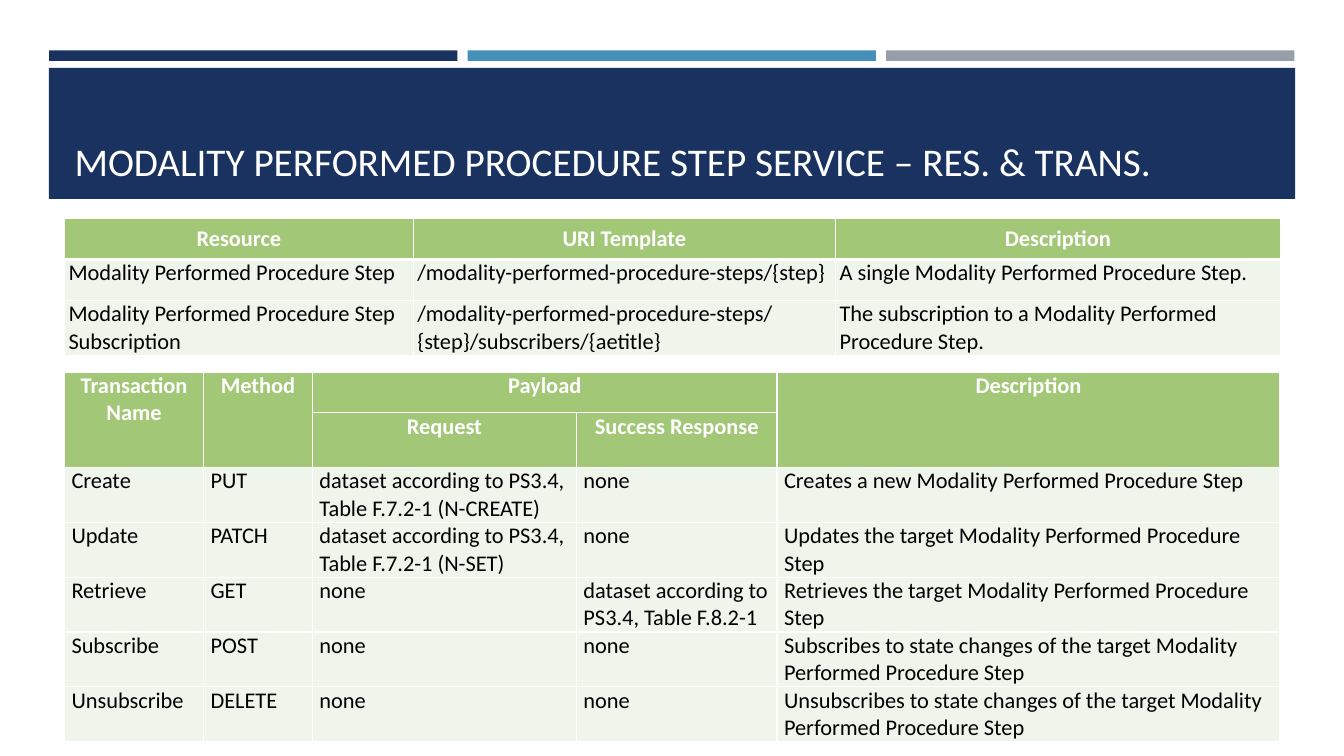
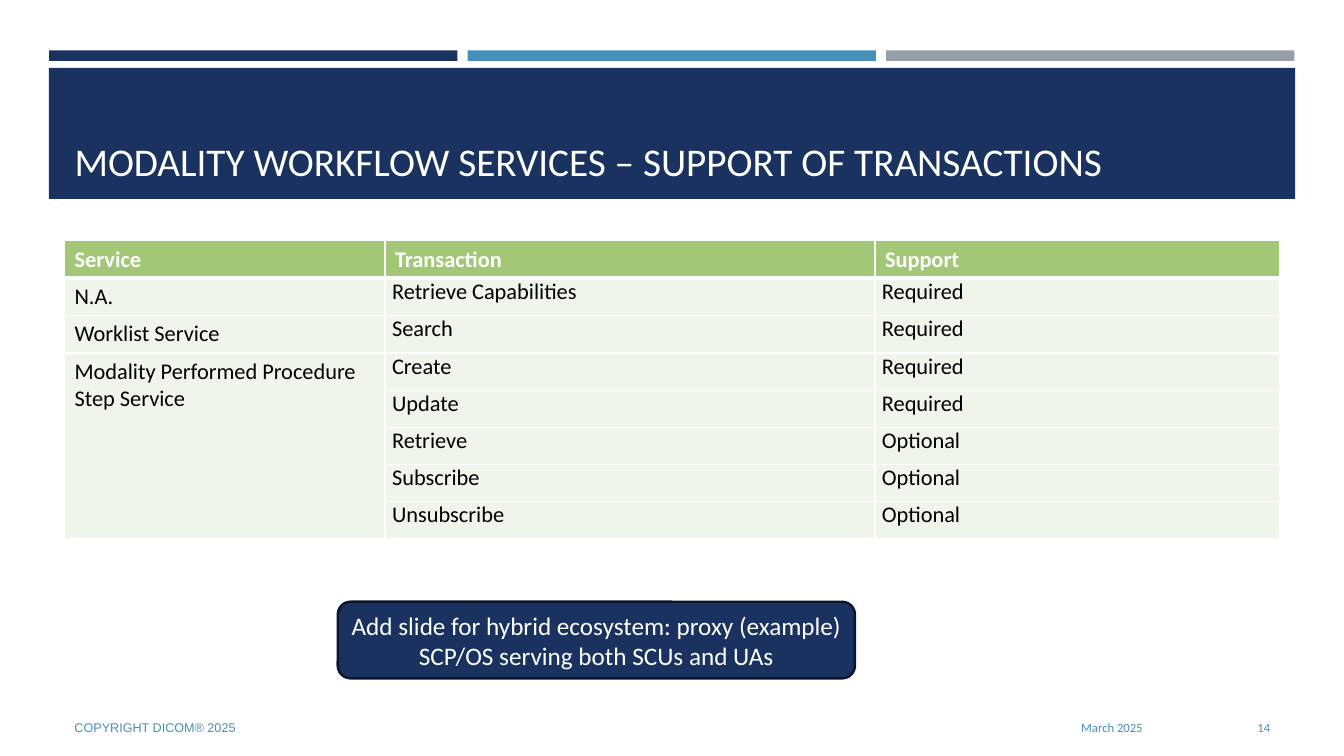
from lxml.etree import SubElement
from pptx import Presentation
from pptx.dml.color import RGBColor
from pptx.enum.shapes import MSO_SHAPE
from pptx.enum.text import MSO_ANCHOR, PP_ALIGN
from pptx.oxml.ns import qn
from pptx.util import Inches, Pt


class Theme:
    navy = RGBColor(0x1A, 0x32, 0x60)
    ink = RGBColor(0x0B, 0x16, 0x2A)
    blue = RGBColor(0x45, 0x90, 0xB8)
    grey = RGBColor(0x96, 0x9F, 0xA7)
    green = RGBColor(0xA2, 0xC7, 0x77)
    pale = RGBColor(0xF0, 0xF5, 0xEC)
    white = RGBColor(0xFF, 0xFF, 0xFF)
    black = RGBColor(0, 0, 0)
    font, footer_font = "Calibri", "Arial"
    title, callout, table, footer = Pt(28), Pt(18), Pt(16), Pt(9)


prs = Presentation()
prs.slide_width, prs.slide_height = Inches(13.33), Inches(7.5)
LEFT, WIDTH = 4.8, 90.45  # content area, percent of the slide's width


def box(left, top, width, height):
    """Turn percentages of the slide into lengths."""
    w, h = prs.slide_width / 100, prs.slide_height / 100
    return round(left * w), round(top * h), round(width * w), round(height * h)


def add_grid(s, top, cols, heights, rows, side, head_rows=1,
             head_align=PP_ALIGN.CENTER, merges=(), loose=False):
    """Add a table: cols in percent of its width, heights of the slide's.

    A loose table has roomy cells in its header and first column.
    """
    place = box(LEFT, top, WIDTH, sum(heights))
    table = s.shapes.add_table(len(rows), len(cols), *place).table
    table.horz_banding = False
    for col, share in zip(table.columns, cols):
        col.width = round(place[2] * share / 100)
    for row, height in zip(table.rows, heights):
        row.height = round(prs.slide_height * height / 100)
    for r0, c0, r1, c1 in merges:
        table.cell(r0, c0).merge(table.cell(r1, c1))

    for i, row in enumerate(rows):
        head = i < head_rows
        for j, text in enumerate(row):
            cell = table.cell(i, j)
            # Borders: a single header row is set off by a thicker line
            thick = {"lnB": 0, "lnT": 1} if head_rows == 1 else {}
            for edge in ("lnL", "lnR", "lnT", "lnB"):
                width = Pt(3 if thick.get(edge) == i else 1)
                ln = SubElement(cell._tc.get_or_add_tcPr(), qn(f"a:{edge}"), w=str(width))
                fill = SubElement(ln, qn("a:solidFill"))
                SubElement(fill, qn("a:srgbClr"), val=str(Theme.white))
            cell.fill.solid()
            cell.fill.fore_color.rgb = Theme.green if head else Theme.pale
            # Text
            roomy = loose and text and (head or j == 0)
            cell.margin_left = cell.margin_right = Inches(0.1 if roomy else side)
            cell.margin_top = cell.margin_bottom = Inches(0.05 if roomy else 0)
            centred = head and head_rows == 1
            cell.vertical_anchor = MSO_ANCHOR.MIDDLE if centred else MSO_ANCHOR.TOP
            cell.text_frame.text = text
            p = cell.text_frame.paragraphs[0]
            p.alignment = head_align if head else PP_ALIGN.LEFT
            p.space_before = p.space_after = Pt(0 if roomy else 2)
            for r in p.runs:
                r.font.name, r.font.size, r.font.bold = Theme.font, Theme.table, head
                r.font.color.rgb = Theme.white if head else Theme.black


# Slides and titles
layout = prs.slide_layouts[5]
titles = [
    "MODALITY PERFORMED PROCEDURE STEP SERVICE – RES. & TRANS.",
    "MODALITY WORKFLOW SERVICES – SUPPORT OF TRANSACTIONS",
]
for title in titles:
    s = prs.slides.add_slide(layout)
    sp = s.shapes.title
    sp.left, sp.top, sp.width, sp.height = box(LEFT, 10.27, WIDTH, 14.8)
    tf = sp.text_frame
    tf.text = title
    tf.vertical_anchor = MSO_ANCHOR.BOTTOM
    p = tf.paragraphs[0]
    p.alignment = PP_ALIGN.LEFT
    r = p.runs[0]
    r.font.name, r.font.size = Theme.font, Theme.title
    r.font.color.rgb = Theme.white
resources, support = prs.slides

# Bands: drawn once, then moved to the shared layout behind its placeholders
BAND, GAP = 30.39, 0.75
bands = [((3.65 + n * (BAND + GAP), 6.67, BAND, 1.4), color)
         for n, color in enumerate((Theme.navy, Theme.blue, Theme.grey))]
bands.append(((3.63, 8.97, 92.73, 17.33), Theme.navy))
for n, (place, color) in enumerate(bands):
    sp = resources.shapes.add_shape(MSO_SHAPE.RECTANGLE, *box(*place))
    sp.shadow.inherit = False
    sp.fill.solid()
    sp.fill.fore_color.rgb = color
    sp.line.fill.background()
    layout.element.cSld.spTree.insert(2 + n, sp.element)

# Slide 1: resources
ROW, TALL = 5.4, 7.23
add_grid(resources, 28.93, (28.69, 34.74, 36.57), (ROW, ROW, TALL), [
    ("Resource", "URI Template", "Description"),
    ("Modality Performed Procedure Step",
     "/modality-performed-procedure-steps/{step}",
     "A single Modality Performed Procedure Step."),
    ("Modality Performed Procedure Step Subscription",
     "/modality-performed-procedure-steps/{step}/subscribers/{aetitle}",
     "The subscription to a Modality Performed Procedure Step."),
], side=0.04)

# Slide 1: transactions
add_grid(resources, 49.2, (11.44, 8.96, 21.72, 16.5, 41.38), [ROW] + [TALL] * 6, [
    ("Transaction Name", "Method", "Payload", "", "Description"),
    ("", "", "Request", "Success Response", ""),
    ("Create", "PUT", "dataset according to PS3.4, Table F.7.2-1 (N-CREATE)", "none",
     "Creates a new Modality Performed Procedure Step"),
    ("Update", "PATCH", "dataset according to PS3.4, Table F.7.2-1 (N-SET)", "none",
     "Updates the target Modality Performed Procedure Step"),
    ("Retrieve", "GET", "none", "dataset according to PS3.4, Table F.8.2-1",
     "Retrieves the target Modality Performed Procedure Step"),
    ("Subscribe", "POST", "none", "none",
     "Subscribes to state changes of the target Modality Performed Procedure Step"),
    ("Unsubscribe", "DELETE", "none", "none",
     "Unsubscribes to state changes of the target Modality Performed Procedure Step"),
], side=0.07, head_rows=2,
    merges=[(0, 0, 1, 0), (0, 1, 1, 1), (0, 2, 0, 3), (0, 4, 1, 4)])

# Slide 2: support of transactions
add_grid(support, 31.82, (26.37, 40.3, 33.33), [4.9] * 8, [
    ("Service", "Transaction", "Support"),
    ("N.A.", "Retrieve Capabilities", "Required"),
    ("Worklist Service", "Search", "Required"),
    ("Modality Performed Procedure Step Service", "Create", "Required"),
    ("", "Update", "Required"),
    ("", "Retrieve", "Optional"),
    ("", "Subscribe", "Optional"),
    ("", "Unsubscribe", "Optional"),
], side=0.07, head_align=PP_ALIGN.LEFT, merges=[(3, 0, 7, 0)], loose=True)

# Slide 2: callout
sp = support.shapes.add_shape(MSO_SHAPE.ROUNDED_RECTANGLE, *box(25.13, 79.6, 38.48, 10.13))
sp.shadow.inherit = False
sp.fill.solid()
sp.fill.fore_color.rgb = Theme.navy
sp.line.color.rgb, sp.line.width = Theme.ink, Pt(1.75)
tf = sp.text_frame
tf.word_wrap = True
tf.margin_left = tf.margin_right = Inches(0.08)
tf.vertical_anchor = MSO_ANCHOR.MIDDLE
tf.text = "Add slide for hybrid ecosystem: proxy (example) SCP/OS serving both SCUs and UAs"
p = tf.paragraphs[0]
p.alignment = PP_ALIGN.CENTER
r = p.runs[0]
r.font.name, r.font.size = Theme.font, Theme.callout
r.font.color.rgb = Theme.white

# Slide 2: footer
footers = [
    ("COPYRIGHT DICOM® 2025", LEFT, 56.71, PP_ALIGN.LEFT, Theme.footer_font),
    ("March 2025", 62.42, 23.33, PP_ALIGN.RIGHT, Theme.font),
    ("14", 86.65, 8.6, PP_ALIGN.RIGHT, Theme.font),
]
for text, left, width, align, font in footers:
    tf = support.shapes.add_textbox(*box(left, 93.6, width, 5.33)).text_frame
    tf.word_wrap = True
    tf.vertical_anchor = MSO_ANCHOR.MIDDLE
    tf.text = text
    p = tf.paragraphs[0]
    p.alignment = align
    r = p.runs[0]
    r.font.name, r.font.size = font, Theme.footer
    r.font.color.rgb = Theme.blue

prs.save("out.pptx")
